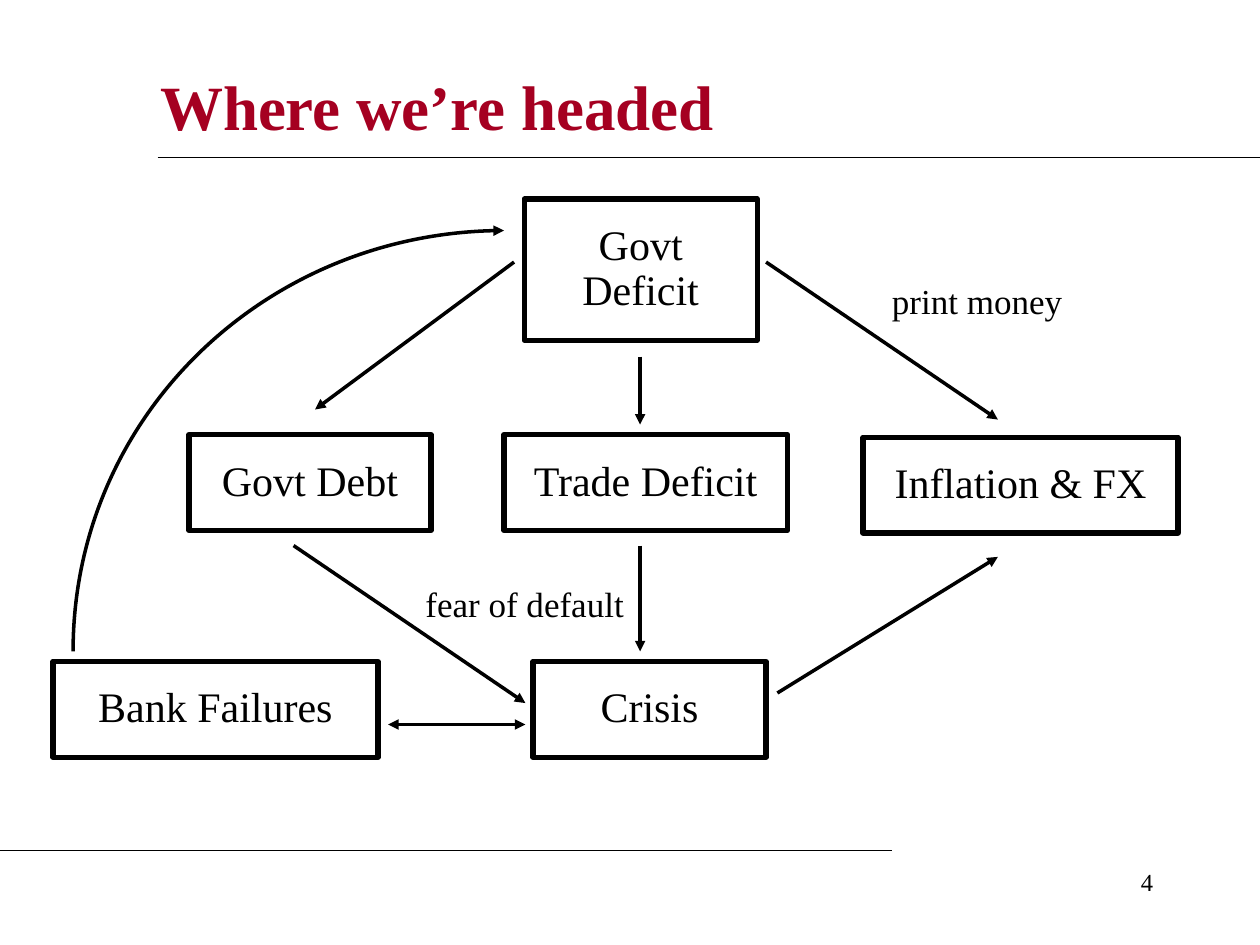
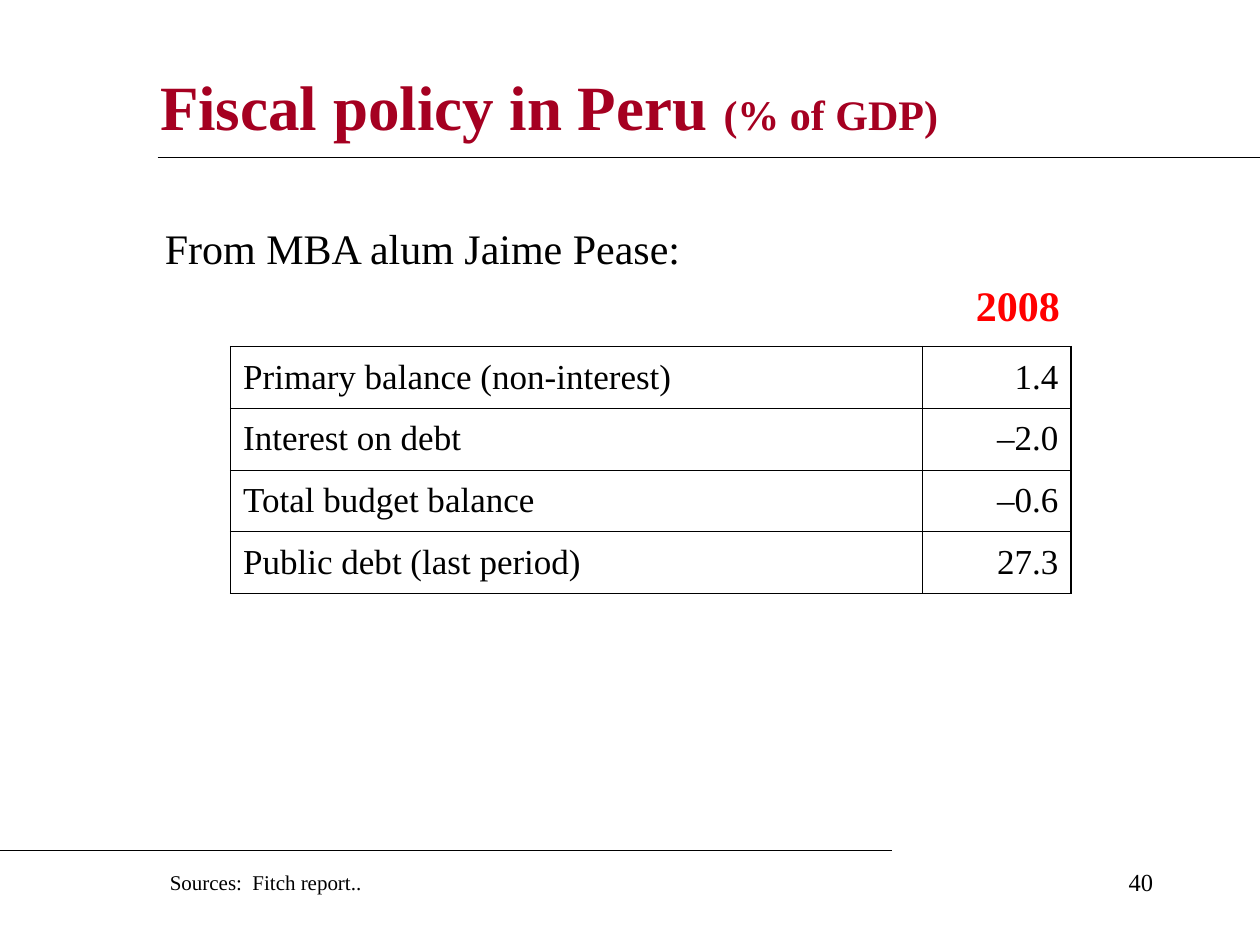
from dataclasses import dataclass
from typing import NamedTuple

from lxml import etree
from pptx import Presentation
from pptx import util as u
from pptx.dml.color import RGBColor
from pptx.enum import shapes, text
from pptx.oxml import ns


@dataclass(frozen=True)
class Theme:
    font: str = "Times New Roman"
    ink: RGBColor = RGBColor(0x00, 0x00, 0x00)
    title: RGBColor = RGBColor(0xA5, 0x00, 0x21)
    accent: RGBColor = RGBColor(0xFF, 0x00, 0x00)
    title_size: int = 36
    lead_size: int = 24
    label_size: int = 20
    number_size: int = 14
    source_size: int = 12
    rule_line: float = 0.75
    arrow_line: float = 2
    box_line: float = 3
    outer_border: float = 1
    inner_border: float = 0.5


THEME = Theme()
LEFT, CENTER, RIGHT = text.PP_ALIGN.LEFT, text.PP_ALIGN.CENTER, text.PP_ALIGN.RIGHT


class Point(NamedTuple):
    x: float
    y: float


class Area(NamedTuple):
    left: float
    top: float
    width: float
    height: float


class Span(NamedTuple):
    words: str
    size: int
    color: RGBColor = THEME.ink
    bold: bool = False


class Label(NamedTuple):
    area: Area
    span: Span
    align: text.PP_ALIGN = LEFT


class Arrow(NamedTuple):
    start: Point
    end: Point
    both_ends: bool = False


class Node(NamedTuple):
    words: str
    area: Area


# Shared drawing helpers

def lengths(values) -> list[int]:
    return [u.Inches(value) for value in values]


def set_all(target, values: dict) -> None:
    for name, value in values.items():
        setattr(target, name, value)


def write(frame, spans: list[Span], align=LEFT, line_spacing: float = 1.0) -> None:
    para = frame.paragraphs[0]
    set_all(para, {"alignment": align, "line_spacing": line_spacing, "space_before": u.Pt(0)})
    for span in spans:
        run = para.add_run()
        run.text = span.words
        set_all(run.font, {"name": THEME.font, "size": u.Pt(span.size), "bold": span.bold})
        run.font.color.rgb = span.color


def set_frame(frame, anchor, inset_x: float = 0.1, inset_y: float = 0.05) -> None:
    set_all(frame, {
        "word_wrap": True, "auto_size": text.MSO_AUTO_SIZE.NONE, "vertical_anchor": anchor,
        "margin_left": u.Inches(inset_x), "margin_right": u.Inches(inset_x),
        "margin_top": u.Inches(inset_y), "margin_bottom": u.Inches(inset_y),
    })


def add_label(page, label: Label) -> None:
    frame = page.shapes.add_textbox(*lengths(label.area)).text_frame
    set_frame(frame, text.MSO_ANCHOR.TOP)
    write(frame, [label.span], label.align)


def style_line(line, width: float) -> None:
    line.color.rgb = THEME.ink
    line.width = u.Pt(width)


def add_heads(shape, tags: list[str]) -> None:
    outline = shape.line._get_or_add_ln()
    for tag in tags:
        etree.SubElement(outline, ns.qn(tag), type="triangle")


def add_line(page, start: Point, end: Point, width: float):
    line = page.shapes.add_connector(shapes.MSO_CONNECTOR.STRAIGHT, *lengths(start + end))
    style_line(line.line, width)
    etree.SubElement(line._element.spPr, ns.qn("a:effectLst"))
    return line


def add_page(deck, title: list[Span], number: int):
    page = deck.slides.add_slide(deck.slide_layouts.get_by_name("Title Only"))
    heading = page.shapes.title
    set_all(heading, dict(zip(("left", "top", "width", "height"), lengths((1.17, 0.42, 8.5, 0.83)))))
    set_frame(heading.text_frame, text.MSO_ANCHOR.MIDDLE)
    write(heading.text_frame, title)
    # Title and footer rules
    add_line(page, Point(1.25, 1.25), Point(10, 1.25), THEME.rule_line)
    add_line(page, Point(0, 6.75), Point(7.08, 6.75), THEME.rule_line)
    add_label(page, Label(Area(7.17, 6.83, 2.08, 0.5), Span(str(number), THEME.number_size), RIGHT))
    return page


def title_span(words: str, size: int = THEME.title_size) -> Span:
    return Span(words, size, THEME.title, True)


# Diagram parts

def add_node(page, node: Node) -> None:
    box = page.shapes.add_shape(shapes.MSO_SHAPE.RECTANGLE, *lengths(node.area))
    box.shadow.inherit = False
    box.fill.background()
    style_line(box.line, THEME.box_line)
    set_frame(box.text_frame, text.MSO_ANCHOR.TOP, 0.2, 0.2)
    write(box.text_frame, [Span(node.words, THEME.lead_size)], CENTER, 0.9)


def add_arrow(page, arrow: Arrow) -> None:
    line = add_line(page, arrow.start, arrow.end, THEME.arrow_line)
    add_heads(line, ["a:headEnd", "a:tailEnd"] if arrow.both_ends else ["a:tailEnd"])


def add_curved_arrow(page, start: Point, controls: list[Point], end: Point) -> None:
    builder = page.shapes.build_freeform(*lengths(start))
    builder.add_line_segments([lengths(point) for point in (*controls, end)], close=False)
    curve = builder.convert_to_shape()
    # Turn the three straight segments into one Bezier segment
    outline = next(curve._element.iter(ns.qn("a:path")))
    segments = outline.findall(ns.qn("a:lnTo"))
    bezier = etree.SubElement(outline, ns.qn("a:cubicBezTo"))
    for segment in segments:
        bezier.append(segment[0])
        outline.remove(segment)
    curve.shadow.inherit = False
    curve.fill.background()
    style_line(curve.line, THEME.arrow_line)
    add_heads(curve, ["a:tailEnd"])


# Table parts

def set_border(cell, side: str, width: float) -> None:
    border = etree.SubElement(cell._tc.get_or_add_tcPr(), ns.qn(f"a:ln{side}"), w=str(u.Pt(width)))
    fill = etree.SubElement(border, ns.qn("a:solidFill"))
    etree.SubElement(fill, ns.qn("a:srgbClr"), val=str(THEME.ink))


def add_figures(page, area: Area, widths: list[float], rows: list[tuple[str, str]]) -> None:
    table = page.shapes.add_table(len(rows), len(widths), *lengths(area)).table
    set_all(table, {"first_row": False, "horz_banding": False})
    for column, width in zip(table.columns, widths):
        column.width = u.Inches(width)
    last_row, last_column = len(rows) - 1, len(widths) - 1
    for i, row in enumerate(rows):
        for j, words in enumerate(row):
            cell = table.cell(i, j)
            outer = {"L": j == 0, "R": j == last_column, "T": i == 0, "B": i == last_row}
            for side, is_outer in outer.items():
                set_border(cell, side, THEME.outer_border if is_outer else THEME.inner_border)
            cell.fill.background()
            cell.vertical_anchor = text.MSO_ANCHOR.MIDDLE
            write(cell.text_frame, [Span(words, THEME.label_size)], RIGHT if j else LEFT)


# Slides

def build_roadmap(deck) -> None:
    page = add_page(deck, [title_span("Where we’re headed")], 4)
    low = 0.76
    nodes = [
        Node("Govt Deficit", Area(4.16, 1.58, 1.85, 1.12)),
        Node("Govt Debt", Area(1.5, 3.45, 1.92, low)),
        Node("Trade Deficit", Area(4, 3.45, 2.25, low)),
        Node("Inflation & FX", Area(6.85, 3.47, 2.5, low)),
        Node("Bank Failures", Area(0.42, 5.25, 2.58, low)),
        Node("Crisis", Area(4.23, 5.25, 1.85, low)),
    ]
    arrows = [
        Arrow(Point(4.08, 2.08), Point(2.5, 3.25)),
        Arrow(Point(5.08, 2.83), Point(5.08, 3.37)),
        Arrow(Point(6.08, 2.08), Point(7.92, 3.33)),
        Arrow(Point(2.33, 4.33), Point(4.17, 5.58)),
        Arrow(Point(5.08, 4.33), Point(5.08, 5.17)),
        Arrow(Point(6.17, 5.5), Point(7.92, 4.42)),
        Arrow(Point(3.08, 5.75), Point(4.17, 5.75), both_ends=True),
    ]
    for node in nodes:
        add_node(page, node)
    for arrow in arrows:
        add_arrow(page, arrow)
    add_curved_arrow(page, Point(0.58, 5.17), [Point(0.58, 3.33), Point(2.11, 1.83)], Point(4, 1.83))
    for words, left, top in (("print money", 6.67, 2.17), ("fear of default", 3.08, 4.57)):
        add_label(page, Label(Area(left, top, 2.17, 0.44), Span(words, THEME.label_size), CENTER))


def build_peru(deck) -> None:
    title = [title_span("Fiscal policy in Peru "), title_span("(% of GDP)", THEME.lead_size)]
    page = add_page(deck, title, 40)
    labels = [
        Label(Area(1.21, 1.72, 4.87, 0.5), Span("From MBA alum Jaime Pease:", THEME.lead_size)),
        Label(Area(7.43, 2.17, 1.08, 0.5), Span("2008", THEME.lead_size, THEME.accent, True), RIGHT),
        Label(Area(1.25, 6.85, 6.67, 0.3), Span("Sources:  Fitch report..", THEME.source_size)),
    ]
    for label in labels:
        add_label(page, label)
    add_figures(page, Area(1.83, 2.75, 6.67, 1.96), [5.49, 1.18], [
        ("Primary balance (non-interest)", "1.4"),
        ("Interest on debt", "–2.0"),
        ("Total budget balance", "–0.6"),
        ("Public debt (last period)", "27.3"),
    ])


def main() -> None:
    deck = Presentation()
    set_all(deck, {"slide_width": u.Inches(10), "slide_height": u.Inches(7.5)})
    build_roadmap(deck)
    build_peru(deck)
    deck.save("out.pptx")


if __name__ == "__main__":
    main()
